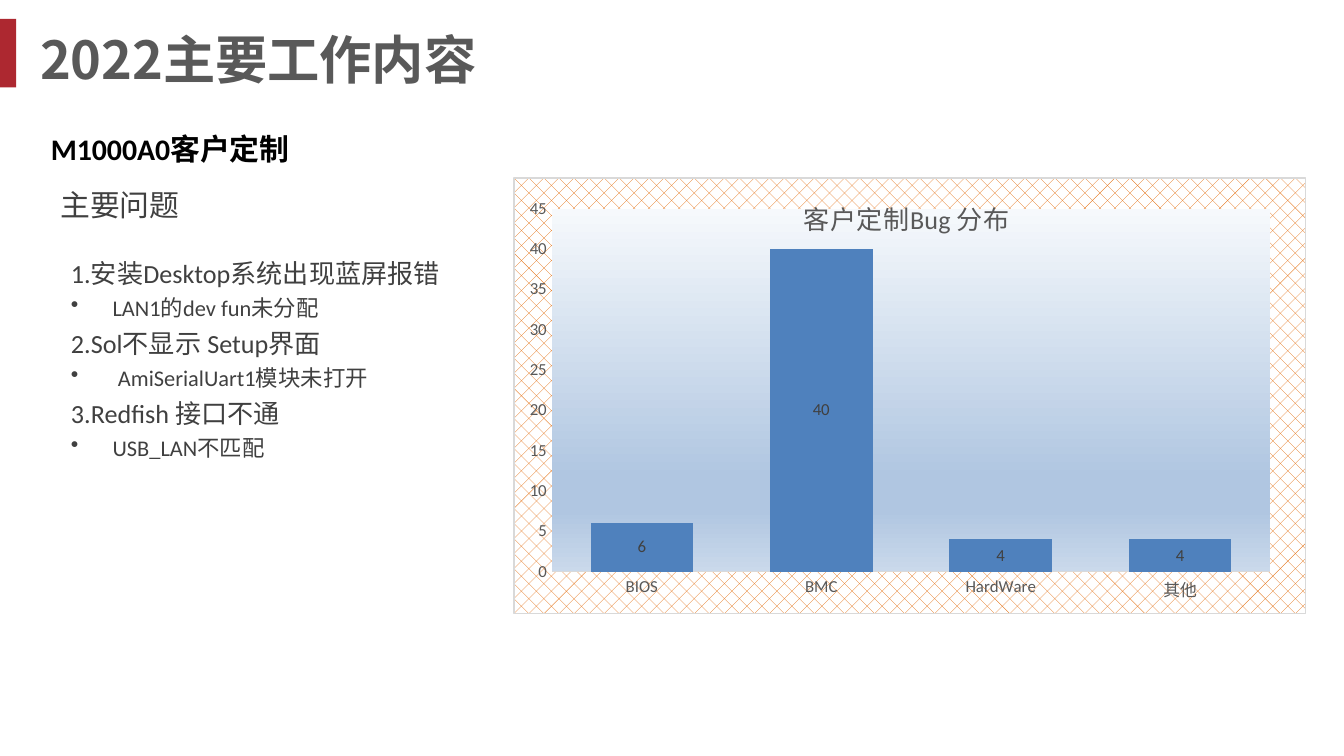
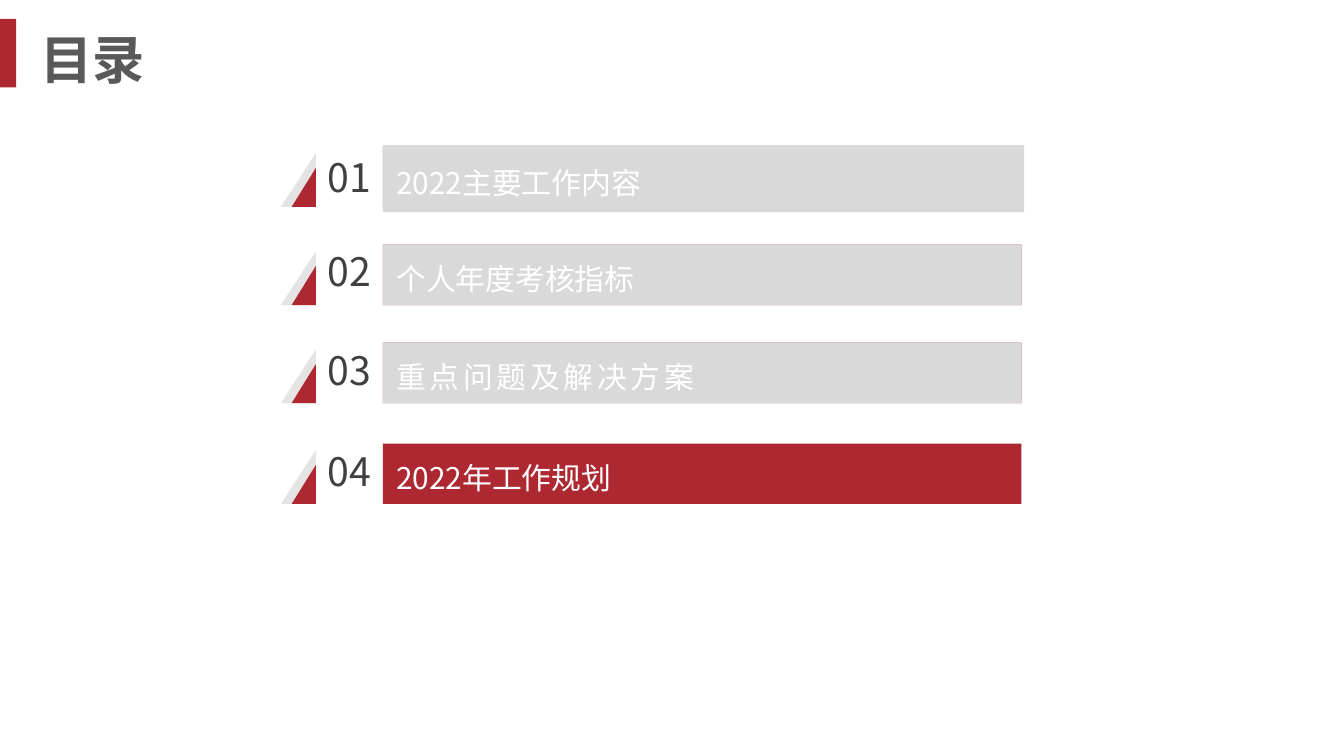
"""Build a work review slide with a bug chart and an agenda slide."""
from dataclasses import dataclass

import lxml.etree
import pptx
import pptx.chart.data
import pptx.dml.color
import pptx.enum.chart
import pptx.enum.shapes
import pptx.enum.text
import pptx.oxml
import pptx.oxml.ns
import pptx.util

Inches = pptx.util.Inches
Pt = pptx.util.Pt
RGBColor = pptx.dml.color.RGBColor
Anchor = pptx.enum.text.MSO_ANCHOR
Align = pptx.enum.text.PP_ALIGN
qn = pptx.oxml.ns.qn


@dataclass(frozen=True)
class Theme:
    red: RGBColor = RGBColor(0xAD, 0x28, 0x30)
    black: RGBColor = RGBColor(0, 0, 0)
    white: RGBColor = RGBColor(255, 255, 255)
    heading: RGBColor = RGBColor(0x59, 0x59, 0x59)
    body: RGBColor = RGBColor(0x40, 0x40, 0x40)
    grey: RGBColor = RGBColor(0xD9, 0xD9, 0xD9)
    light: RGBColor = RGBColor(0xE4, 0xE4, 0xE4)
    blue: RGBColor = RGBColor(0x4F, 0x81, 0xBD)
    latin: str = "Calibri"
    chinese: str = "Noto Sans CJK SC"
    title_size: int = 28
    number_size: int = 21
    label_size: int = 16
    item_size: int = 14
    detail_size: int = 12
    axis_size: int = 9


theme = Theme()


def add_text(slide, box, entries, color, font, bold=False, anchor=Anchor.TOP,
             align=Align.LEFT, spacing=1.0, insets=(0.1, 0.05), fill=None, tracking=0):
    lengths = [Inches(value) for value in box]
    if fill is None:
        shape = slide.shapes.add_textbox(*lengths)
    else:
        shape = slide.shapes.add_shape(pptx.enum.shapes.MSO_SHAPE.RECTANGLE, *lengths)
        shape.shadow.inherit = False
        shape.fill.solid()
        shape.fill.fore_color.rgb = fill
        shape.line.fill.background()
    frame = shape.text_frame
    frame.word_wrap = True
    frame.vertical_anchor = anchor
    frame.margin_left = frame.margin_right = Inches(insets[0])
    frame.margin_top = Inches(insets[1])
    frame.margin_bottom = Inches(min(insets[1], 0.05))
    frame.text = "\n".join(text for text, size, indent in entries)
    for paragraph, (text, size, indent) in zip(frame.paragraphs, entries):
        paragraph.alignment = align
        paragraph.line_spacing = spacing
        if indent:
            properties = paragraph._p.get_or_add_pPr()
            properties.set("marL", str(Inches(indent)))
            properties.set("indent", str(-Inches(indent)))
            lxml.etree.SubElement(properties, qn("a:buChar")).set("char", "•")
        for run in paragraph.runs:
            run.font.name = font
            run.font.size = Pt(size)
            run.font.bold = bold
            run.font.color.rgb = color
            run_properties = run._r.get_or_add_rPr()
            lxml.etree.SubElement(run_properties, qn("a:ea")).set("typeface", theme.chinese)
            if tracking:
                run_properties.set("spc", str(tracking * 100))


def add_outline(slide, contours, color):
    builder = None
    for contour in contours:
        points = [(Inches(x), Inches(y)) for x, y in contour]
        if builder is None:
            builder = slide.shapes.build_freeform(*points[0], scale=1.0)
        else:
            builder.move_to(*points[0])
        builder.add_line_segments(points[1:], close=True)
    shape = builder.convert_to_shape()
    shape.shadow.inherit = False
    shape.fill.solid()
    shape.fill.fore_color.rgb = color
    shape.line.fill.background()


presentation = pptx.Presentation()
presentation.slide_width = Inches(10)
presentation.slide_height = Inches(10) * 9 // 16

slides = []
for title in ("2022主要工作内容", "目录"):
    slide = presentation.slides.add_slide(presentation.slide_layouts[6])
    add_text(slide, (0, 0.14, 0.12, 0.51), [], theme.white, theme.chinese, fill=theme.red)
    add_text(slide, (0.2, 0.14, 8.27, 0.51), [(title, theme.title_size, 0)],
             theme.heading, theme.chinese, bold=True, anchor=Anchor.MIDDLE, insets=(0.1, 0.13))
    slides.append(slide)
work_slide, agenda_slide = slides

add_text(work_slide, (0.28, 0.92, 5, 0.37), [("M1000A0客户定制", theme.label_size, 0)],
         theme.black, theme.latin, bold=True)

chart_data = pptx.chart.data.CategoryChartData()
chart_data.categories = ["BIOS", "BMC", "HardWare", "其他"]
chart_data.add_series("Series 1", (6, 40, 4, 4))
chart = work_slide.shapes.add_chart(
    pptx.enum.chart.XL_CHART_TYPE.COLUMN_STACKED,
    Inches(3.82), Inches(1.32), Inches(5.9), Inches(3.25), chart_data).chart
chart.has_legend = False
chart.font.name = theme.latin
chart.font.size = Pt(10)
chart.font.color.rgb = theme.black

chart.has_title = True
title_frame = chart.chart_title.text_frame
title_frame.text = "客户定制Bug 分布"
title_font = title_frame.paragraphs[0].runs[0].font
title_font.name = theme.latin
title_font.size = Pt(theme.item_size)
title_font.bold = False
title_font.color.rgb = theme.heading

plot = chart.plots[0]
plot.gap_width = 75
plot.overlap = 100
plot.vary_by_categories = False
series = plot.series[0]
series.format.fill.solid()
series.format.fill.fore_color.rgb = theme.blue
labels = series.data_labels
labels.show_value = True
labels.position = pptx.enum.chart.XL_LABEL_POSITION.CENTER

value_axis = chart.value_axis
value_axis.minimum_scale = 0
value_axis.maximum_scale = 45
value_axis.major_unit = 5
value_axis.has_major_gridlines = False
value_axis.format.line.fill.background()
category_axis = chart.category_axis
category_axis.format.line.color.rgb = theme.grey
category_axis.format.line.width = Pt(0.75)
for axis in (value_axis, category_axis):
    axis.major_tick_mark = pptx.enum.chart.XL_TICK_MARK.NONE
for font, color in ((value_axis.tick_labels.font, theme.heading),
                    (category_axis.tick_labels.font, theme.heading),
                    (labels.font, theme.body)):
    font.name = theme.latin
    font.size = Pt(theme.axis_size)
    font.color.rgb = color

namespaces = pptx.oxml.ns.nsdecls("c", "a")
stops = "".join(
    f'<a:gs pos="{position * 1000}"><a:srgbClr val="{color}"/></a:gs>'
    for position, color in ((0, "F6F9FC"), (74, "B0C6E1"), (83, "B0C6E1"), (100, "CAD9EB")))
chart_fill = pptx.oxml.parse_xml(
    f'<c:spPr {namespaces}><a:pattFill prst="pct25"><a:fgClr><a:srgbClr val="E46C0A"/></a:fgClr>'
    f'<a:bgClr><a:srgbClr val="{theme.white}"/></a:bgClr></a:pattFill>'
    f'<a:ln w="{Pt(0.75)}"><a:solidFill><a:srgbClr val="{theme.grey}"/></a:solidFill></a:ln></c:spPr>')
plot_fill = pptx.oxml.parse_xml(
    f'<c:spPr {namespaces}><a:gradFill><a:gsLst>{stops}</a:gsLst>'
    f'<a:lin ang="5400000" scaled="0"/></a:gradFill><a:ln><a:noFill/></a:ln></c:spPr>')
plot_layout = pptx.oxml.parse_xml(
    f'<c:layout {namespaces}><c:manualLayout><c:layoutTarget val="inner"/>'
    '<c:xMode val="edge"/><c:yMode val="edge"/><c:x val="0.048"/><c:y val="0.07"/>'
    '<c:w val="0.907"/><c:h val="0.834"/></c:manualLayout></c:layout>')
title_layout = pptx.oxml.parse_xml(
    f'<c:layout {namespaces}><c:manualLayout><c:xMode val="edge"/><c:yMode val="edge"/>'
    '<c:x val="0.36"/><c:y val="0.03"/></c:manualLayout></c:layout>')
chart_space = chart._chartSpace
chart_space.find(qn("c:chart")).addnext(chart_fill)
plot_area = chart_space.find(".//" + qn("c:plotArea"))
title_element = chart.chart_title._element
for parent in (plot_area, title_element):
    for layout in parent.findall(qn("c:layout")):
        parent.remove(layout)
plot_area.insert(0, plot_layout)
plot_area.append(plot_fill)
title_element.find(qn("c:tx")).addnext(title_layout)
title_element.find(qn("c:overlay")).set("val", "1")

issues = [
    ("1.安装Desktop系统出现蓝屏报错", theme.item_size, 0),
    ("LAN1的dev fun未分配", theme.detail_size, 0.31),
    ("2.Sol不显示 Setup界面", theme.item_size, 0),
    ("AmiSerialUart1模块未打开", theme.detail_size, 0.35),
    ("3.Redfish 接口不通", theme.item_size, 0),
    ("USB_LAN不匹配", theme.detail_size, 0.31),
]
add_text(work_slide, (0.43, 1.82, 3.46, 2.16), issues, theme.body, theme.latin, spacing=1.2)
add_text(work_slide, (0.35, 1.29, 3.05, 0.42), [("主要问题", theme.label_size, 0)],
         theme.body, theme.latin, spacing=1.2)

agenda = [
    ("2022主要工作内容", 1.09, 1.09, (2.85, 1.08, 4.77, 0.5), theme.grey, 0),
    ("个人年度考核指标", 1.82, 1.79, (2.85, 1.82, 4.75, 0.45), theme.grey, 0),
    ("重点问题及解决方案", 2.55, 2.53, (2.85, 2.55, 4.75, 0.45), theme.grey, 2),
    ("2022年工作规划", 3.3, 3.28, (2.85, 3.3, 4.75, 0.45), None, 0),
]
for number, (label, top, number_top, box, fill, tracking) in enumerate(agenda, 1):
    bottom = top + 0.45
    add_outline(agenda_slide, [[(2.35, top + 0.05), (2.35, bottom), (2.09, bottom)]], theme.light)
    add_outline(agenda_slide, [
        [(2.35, top + 0.16), (2.35, bottom), (2.17, bottom)],
        [(2.85, top), (7.6, top), (7.6, bottom), (2.85, bottom)],
    ], theme.red)
    add_text(agenda_slide, (2.35, number_top, 0.5, 0.45), [(f"{number:02}", theme.number_size, 0)],
             theme.body, theme.chinese, anchor=Anchor.MIDDLE, align=Align.CENTER, insets=(0, 0))
    add_text(agenda_slide, box, [(label, theme.label_size, 0)], theme.white, theme.chinese,
             anchor=Anchor.MIDDLE, spacing=1.2, fill=fill, tracking=tracking)

presentation.save("out.pptx")
